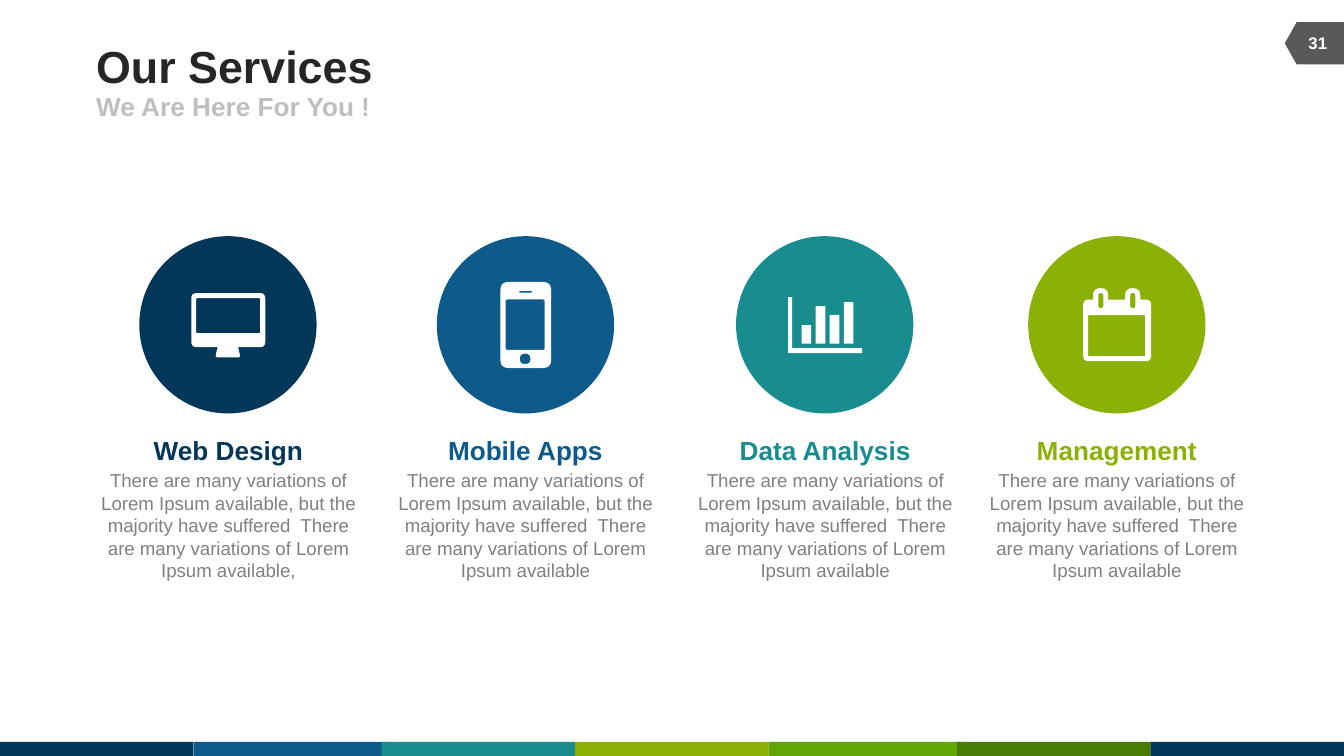
from pptx import Presentation
from pptx.dml.color import RGBColor
from pptx.enum.shapes import MSO_SHAPE as Preset
from pptx.enum.text import MSO_ANCHOR as Anchor, PP_ALIGN as Align
from pptx.util import Pt

NAVY = RGBColor(0x02, 0x37, 0x59)
BLUE = RGBColor(0x0E, 0x5A, 0x8B)
TEAL = RGBColor(0x19, 0x8C, 0x8F)
LIME = RGBColor(0x8B, 0xB1, 0x06)
GREEN = RGBColor(0x63, 0xA4, 0x06)
FOREST = RGBColor(0x4A, 0x7B, 0x04)
WHITE = RGBColor(0xFF, 0xFF, 0xFF)
INK = RGBColor(0x26, 0x26, 0x26)
SILVER = RGBColor(0xBF, 0xBF, 0xBF)
GRAY = RGBColor(0x80, 0x80, 0x80)
SLATE = RGBColor(0x59, 0x59, 0x59)

deck = Presentation()
deck.slide_width, deck.slide_height = Pt(720), Pt(405)
page = deck.slides.add_slide(deck.slide_layouts[6])


def add_text(left, top, width, height, lines, align, anchor, inset):
    box = page.shapes.add_textbox(Pt(left), Pt(top), Pt(width), Pt(height))
    frame = box.text_frame
    frame.word_wrap = True
    frame.vertical_anchor = anchor
    frame.margin_left = frame.margin_right = Pt(2 * inset)
    frame.margin_top = frame.margin_bottom = Pt(inset)
    for index, (words, size, color, bold) in enumerate(lines):
        para = frame.add_paragraph() if index else frame.paragraphs[0]
        para.alignment = align
        if index:
            para.space_before = Pt(0.2 * size)
        span = para.add_run()
        span.text = words
        span.font.name = "Arial"
        span.font.size = Pt(size)
        span.font.bold = bold
        span.font.color.rgb = color


def round_corners(corners):
    points = []
    for index, (x, y, radius) in enumerate(corners):
        ends = []
        for nx, ny, _ in (corners[index - 1], corners[(index + 1) % len(corners)]):
            share = radius / ((nx - x) ** 2 + (ny - y) ** 2) ** 0.5
            ends.append((x + (nx - x) * share, y + (ny - y) * share))
        (ax, ay), (bx, by) = ends
        for step in range(7 if radius else 1):
            t = step / 6
            a, c, b = (1 - t) ** 2, 2 * t * (1 - t), t ** 2
            points.append((a * ax + c * x + b * bx, a * ay + c * y + b * by))
    return points


stripe_lefts = [0, 103.68, 204.48, 308.16, 411.84, 512.64, 616.32]
stripe_colors = [NAVY, BLUE, TEAL, LIME, GREEN, FOREST, NAVY]
blocks = [(Preset.RECTANGLE, left, 397.5, 103.68, 7.5, color, 0)
          for left, color in zip(stripe_lefts, stripe_colors)]
blocks.append((Preset.FLOWCHART_OFFPAGE_CONNECTOR, 692.8, 7.4, 22.6, 31.6, SLATE, 90))

monitor = [
    [(27.9, 30.5, 3), (67.5, 30.5, 3), (67.5, 59.5, 3), (53, 59.5, 0),
     (54.2, 65, 1.5), (40.7, 65, 1.5), (42, 59.5, 0), (27.9, 59.5, 3)],
]
calendar = [
    [(29.5, 34, 3), (34.8, 34, 0), (34.8, 27.9, 4), (42.9, 27.9, 4),
     (42.9, 34, 0), (52, 34, 0), (52, 27.9, 4), (60.1, 27.9, 4),
     (60.1, 34, 0), (65.9, 34, 3), (65.9, 67, 3), (29.5, 67, 3)],
]
chart = [
    [(27.9, 32.7, 0), (30, 32.7, 0), (30, 60, 0),
     (67.5, 60, 0), (67.5, 62.7, 0), (27.9, 62.7, 0)],
]
phone = []
panels = [
    (monitor, 30.5, 33.2, 64.8, 52, 0.8),
    (phone, 34.1, 24.6, 61.3, 70.7, 4.5),
    (phone, 36.9, 34, 57.8, 61, 1),
    (phone, 44.2, 29.4, 51, 30.3, 0.4),
    (phone, 44.5, 63, 50.2, 68.6, 2.8),
    (calendar, 32.2, 42.3, 62.7, 64.3, 0),
    (calendar, 37.6, 30.5, 40.3, 38.6, 1.3),
    (calendar, 54.7, 30.5, 57.4, 38.6, 1.3),
]
for index, top in enumerate([47.7, 37.5, 42.3, 35.4]):
    left = 35.1 + 7.55 * index
    panels.append((chart, left, top, left + 5.2, 57.6, 0))
for icon, left, top, right, bottom, radius in panels:
    icon.append([(left, top, radius), (right, top, radius),
                 (right, bottom, radius), (left, bottom, radius)])

circle_top = 126.5
blurb = ("There are many variations of Lorem Ipsum available, but the majority "
         "have suffered  There are many variations of Lorem Ipsum available")
services = [
    ("Web Design", blurb + ",", NAVY, 74.6, 44.6, 155.5, monitor),
    ("Mobile Apps", blurb, BLUE, 234, 202.3, 158.4, phone),
    ("Data Analysis", blurb, TEAL, 394.3, 363.2, 157.7, chart),
    ("Management", blurb, LIME, 550.8, 522.7, 151.2, calendar),
]
for name, words, color, left, *rest in services:
    blocks.append((Preset.OVAL, left, circle_top, 95, 95, color, 0))

for preset, left, top, width, height, color, turn in blocks:
    block = page.shapes.add_shape(preset, Pt(left), Pt(top), Pt(width), Pt(height))
    block.rotation = turn
    block.shadow.inherit = False
    block.fill.solid()
    block.fill.fore_color.rgb = color
    block.line.fill.background()

add_text(51.5, 20.9, 444, 28, [("Our Services", 24, INK, True)], Align.LEFT, Anchor.MIDDLE, 0)
add_text(51.5, 49, 324, 16, [("We Are Here For You !", 14, SILVER, True)],
         Align.LEFT, Anchor.MIDDLE, 0)
add_text(691, 12.4, 30, 21.6, [("31", 9, WHITE, True)], Align.CENTER, Anchor.MIDDLE, 3.6)

for name, words, color, left, text_left, text_width, icon in services:
    lines = [(name, 14, color, True), (words, 10, GRAY, False)]
    add_text(text_left, 229, text_width, 87.1, lines, Align.CENTER, Anchor.TOP, 3.6)
    builder = None
    for contour in icon:
        points = [(Pt(left + x), Pt(circle_top + y)) for x, y in round_corners(contour)]
        if builder:
            builder.move_to(*points[0])
        else:
            builder = page.shapes.build_freeform(*points[0])
        builder.add_line_segments(points[1:], close=True)
    drawing = builder.convert_to_shape()
    drawing.shadow.inherit = False
    drawing.fill.solid()
    drawing.fill.fore_color.rgb = WHITE
    drawing.line.fill.background()

deck.save("out.pptx")
